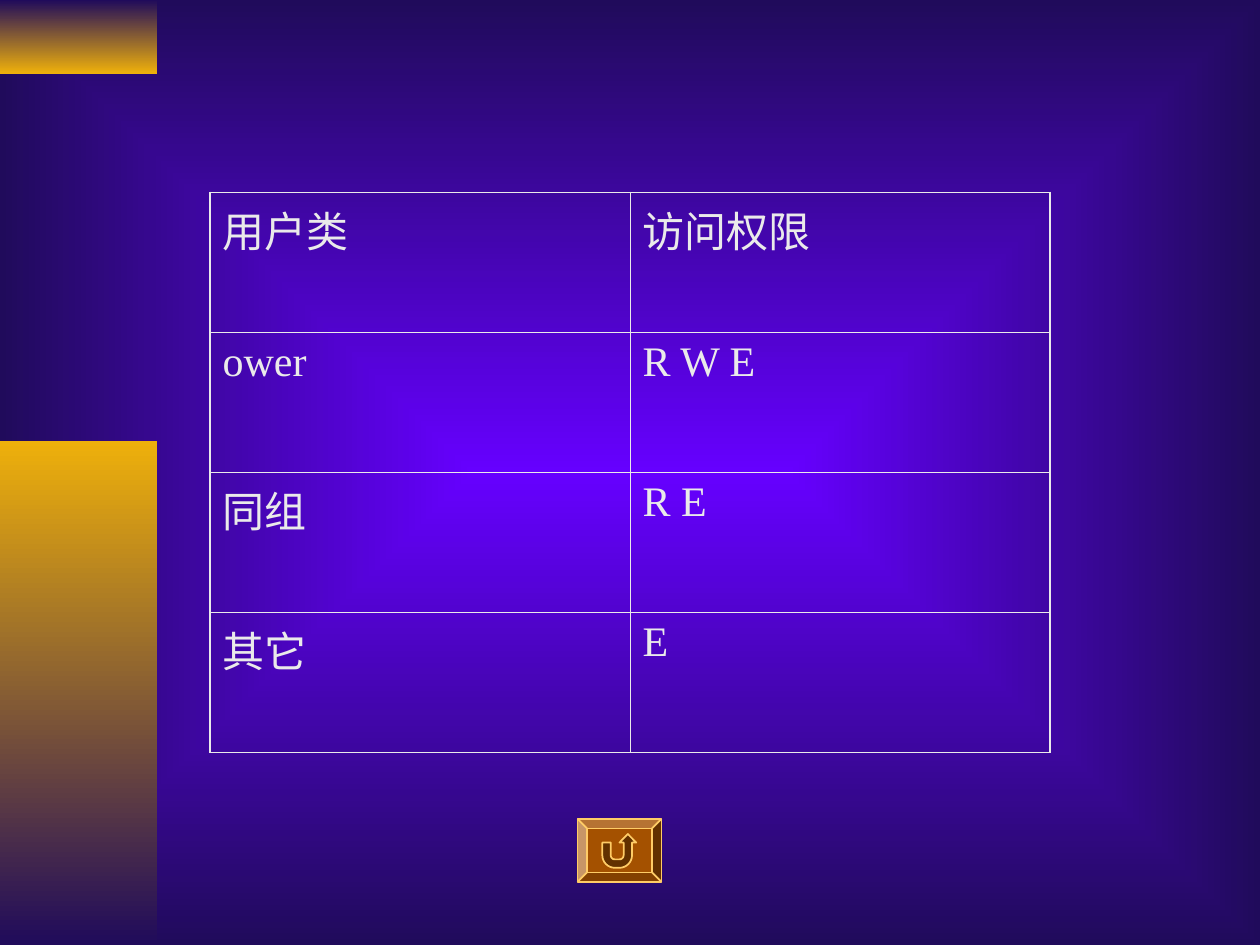
from math import cos, radians, sin

from lxml import etree
from pptx import Presentation
from pptx.dml.color import RGBColor
from pptx.enum.shapes import MSO_SHAPE
from pptx.oxml.ns import qn
from pptx.util import Pt

RECT = MSO_SHAPE.RECTANGLE
BEVEL = MSO_SHAPE.BEVEL
NAVY, GOLD, VIOLET = "200B5B", "EEB00B", "6600FF"
PALE, RUST, BROWN, SAND = "EAEAEA", "A45100", "623100", "FFCC66"
HAN, LATIN = "Noto Sans CJK SC", "Times New Roman"
THIN, THICK = 0.45, 1.08

ROWS = [("用户类", "访问权限"), ("ower", "R W E"), ("同组", "R E"), ("其它", "E")]


def color(code):
    return RGBColor.from_string(code)


def arc(x, y, size, start, end, steps=8):
    """Points on a circle, angles in degrees, y pointing down."""
    turns = [radians(start + (end - start) * i / steps) for i in range(steps + 1)]
    return [(x + size * cos(t), y + size * sin(t)) for t in turns]


class Deck:
    text = {"size": Pt(24), "bold": False}

    def __init__(self, wide, high):
        self.prs = Presentation()
        self.prs.slide_width, self.prs.slide_height = Pt(wide), Pt(high)
        self.slide = self.prs.slides.add_slide(self.prs.slide_layouts[6])

    def blend(self, fill, first, last):
        fill.gradient()
        for stop, code, place in zip(fill.gradient_stops, (first, last), (0, 1)):
            stop.color.rgb = color(code)
            stop.position = place

    def back(self, first, last):
        fill = self.slide.background.fill
        self.blend(fill, first, last)
        # Turn the linear gradient into one from the centre
        lin = self.slide.element.find(".//" + qn("a:lin"))
        ring = etree.Element(qn("a:path"), {"path": "rect"})
        sides = dict.fromkeys("ltrb", "50000")
        etree.SubElement(ring, qn("a:fillToRect"), sides)
        lin.getparent().replace(lin, ring)

    def bar(self, top, high, first, last):
        bar = self.slide.shapes.add_shape(RECT, 0, Pt(top), Pt(90), Pt(high))
        bar.shadow.inherit = False
        self.blend(bar.fill, first, last)
        bar.fill.gradient_angle = 270
        bar.line.fill.background()

    def paint(self, shape, fill, line):
        shape.shadow.inherit = False
        shape.fill.solid()
        shape.fill.fore_color.rgb = color(fill)
        shape.line.color.rgb = color(line)
        shape.line.width = Pt(1)

    def bevel(self, left, top, wide, high, edge):
        box = self.slide.shapes.add_shape(BEVEL, Pt(left), Pt(top), Pt(wide), Pt(high))
        box.adjustments[0] = edge
        self.paint(box, RUST, SAND)

    def outline(self, dots):
        # Hundredths of a point keep the curves smooth
        dots = [(round(x * 100), round(y * 100)) for x, y in dots]
        pen = self.slide.shapes.build_freeform(*dots[0], scale=Pt(1) / 100)
        pen.add_line_segments(dots[1:], close=True)
        self.paint(pen.convert_to_shape(), BROWN, SAND)

    def border(self, cell, side, width):
        props = cell._tc.get_or_add_tcPr()
        line = etree.SubElement(props, qn("a:ln" + side), w=str(Pt(width)))
        fill = etree.SubElement(line, qn("a:solidFill"))
        etree.SubElement(fill, qn("a:srgbClr"), val=PALE)

    def label(self, cell, words):
        run = cell.text_frame.paragraphs[0].add_run()
        run.text = words
        for key, value in self.text.items():
            setattr(run.font, key, value)
        run.font.name = LATIN if words.isascii() else HAN
        run.font.color.rgb = color(PALE)
        etree.SubElement(run._r.get_or_add_rPr(), qn("a:ea"), typeface=HAN)

    def table(self, rows, left, top, wide, high):
        count, span = len(rows), len(rows[0])
        frame = self.slide.shapes.add_table(
            count, span, Pt(left), Pt(top), Pt(wide * span), Pt(high * count))
        grid = frame.table
        grid.first_row = grid.horz_banding = False
        for col in grid.columns:
            col.width = Pt(wide)
        for r, row in enumerate(rows):
            grid.rows[r].height = Pt(high)
            for c, words in enumerate(row):
                cell = grid.cell(r, c)
                self.label(cell, words)
                outer = {"L": c == 0, "R": c == span - 1,
                         "T": r == 0, "B": r == count - 1}
                for side, edge in outer.items():
                    self.border(cell, side, THICK if edge else THIN)
                cell.fill.background()


def main():
    deck = Deck(720, 540)

    # Background and side bars
    deck.back(VIOLET, NAVY)
    deck.bar(0, 42, NAVY, GOLD)
    deck.bar(252, 288, GOLD, NAVY)

    # Access rights by user class
    deck.table(ROWS, 120, 110, 240, 80)

    # Return button: bevelled plate and U-turn arrow
    deck.bevel(330, 468, 48, 36, 0.15)
    neck, bend = 481.5, 488.7
    deck.outline(
        [(344.2, neck), (349, neck)]
        + arc(351.4, bend, 2.4, 180, 90)
        + arc(354, bend, 2.4, 90, 0)
        + [(356.4, neck), (354, neck), (358.8, 476.6), (363.6, neck), (361.2, neck)]
        + arc(354, bend, 7.2, 0, 90)
        + arc(351.4, bend, 7.2, 90, 180))

    deck.prs.save("out.pptx")


if __name__ == "__main__":
    main()
